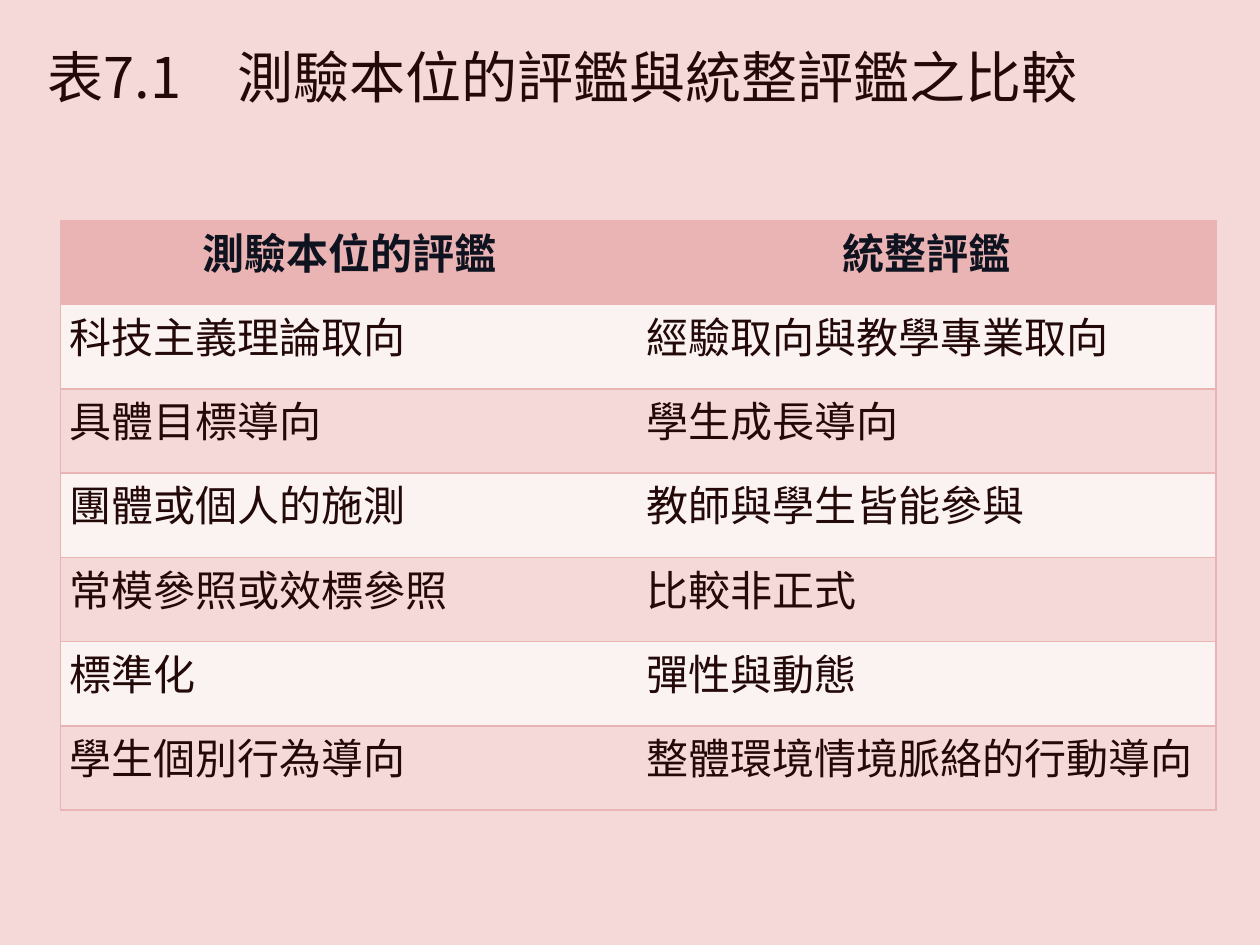
from dataclasses import dataclass
from typing import NamedTuple

from lxml import etree
from pptx import Presentation
from pptx.dml.color import RGBColor
from pptx.enum import text
from pptx.oxml import ns
from pptx.util import Inches, Pt


@dataclass(frozen=True)
class Theme:
    font: str = "Noto Sans CJK SC"
    background: str = "F5D9D9"
    header_fill: str = "EBB4B4"
    light_fill: str = "FBF2F2"
    border: str = "EBB4B4"
    header_ink: str = "0F131F"
    ink: str = "240909"
    title_size: int = 32
    table_size: int = 24
    border_width: int = 1


class Comparison(NamedTuple):
    test_based: str
    integrated: str


THEME = Theme()
TITLE = "表7.1　測驗本位的評鑑與統整評鑑之比較"
ROWS = [
    Comparison("測驗本位的評鑑", "統整評鑑"),
    Comparison("科技主義理論取向", "經驗取向與教學專業取向"),
    Comparison("具體目標導向", "學生成長導向"),
    Comparison("團體或個人的施測", "教師與學生皆能參與"),
    Comparison("常模參照或效標參照", "比較非正式"),
    Comparison("標準化", "彈性與動態"),
    Comparison("學生個別行為導向", "整體環境情境脈絡的行動導向"),
]


def add_run(paragraph, content: str, size: int, color: str, bold: bool = False) -> None:
    run = paragraph.add_run()
    run.text = content
    run.font.size = Pt(size)
    run.font.bold = bold
    run.font.color.rgb = RGBColor.from_string(color)
    run.font.name = THEME.font
    # The East Asian typeface sits right after the Latin one
    latin = run.font._element.find(ns.qn("a:latin"))
    east_asian = etree.Element(ns.qn("a:ea"), typeface=THEME.font)
    latin.addnext(east_asian)


def set_borders(cell, drawn_sides: str) -> None:
    """Draw the named sides (L, R, T, B) and clear the others."""
    properties = cell._tc.get_or_add_tcPr()
    for position, side in enumerate("LRTB"):
        line = etree.Element(ns.qn(f"a:ln{side}"), w=str(Pt(THEME.border_width)))
        if side in drawn_sides:
            fill = etree.SubElement(line, ns.qn("a:solidFill"))
            etree.SubElement(fill, ns.qn("a:srgbClr"), val=THEME.border)
        else:
            etree.SubElement(line, ns.qn("a:noFill"))
        properties.insert(position, line)


def fill_cell(cell, content: str, row: int, column: int) -> None:
    header = row == 0
    banded = THEME.light_fill if row % 2 else THEME.background
    cell.fill.solid()
    cell.fill.fore_color.rgb = RGBColor.from_string(THEME.header_fill if header else banded)
    cell.margin_left = cell.margin_right = Inches(0.07)
    cell.margin_top = cell.margin_bottom = 0
    paragraph = cell.text_frame.paragraphs[0]
    paragraph.alignment = text.PP_ALIGN.CENTER if header else text.PP_ALIGN.JUSTIFY
    add_run(paragraph, content, THEME.table_size,
            THEME.header_ink if header else THEME.ink, bold=header)
    set_borders(cell, "LTB" if column == 0 else "RTB")


def add_title(slide) -> None:
    box = slide.shapes.add_textbox(Inches(0.28), Inches(0.29), Inches(8.5), Inches(0.64))
    box.text_frame.word_wrap = True
    add_run(box.text_frame.paragraphs[0], TITLE, THEME.title_size, THEME.ink)


def add_comparison_table(slide) -> None:
    frame = slide.shapes.add_table(len(ROWS), len(Comparison._fields),
                                   Inches(0.48), Inches(1.75), Inches(9.17), Inches(4.68))
    for row, comparison in enumerate(ROWS):
        for column, content in enumerate(comparison):
            fill_cell(frame.table.cell(row, column), content, row, column)


def main() -> None:
    presentation = Presentation()
    presentation.slide_width, presentation.slide_height = Inches(10), Inches(7.5)
    slide = presentation.slides.add_slide(presentation.slide_layouts[6])

    # Background
    slide.background.fill.solid()
    slide.background.fill.fore_color.rgb = RGBColor.from_string(THEME.background)

    # Content
    add_comparison_table(slide)
    add_title(slide)
    presentation.save("out.pptx")


if __name__ == "__main__":
    main()
